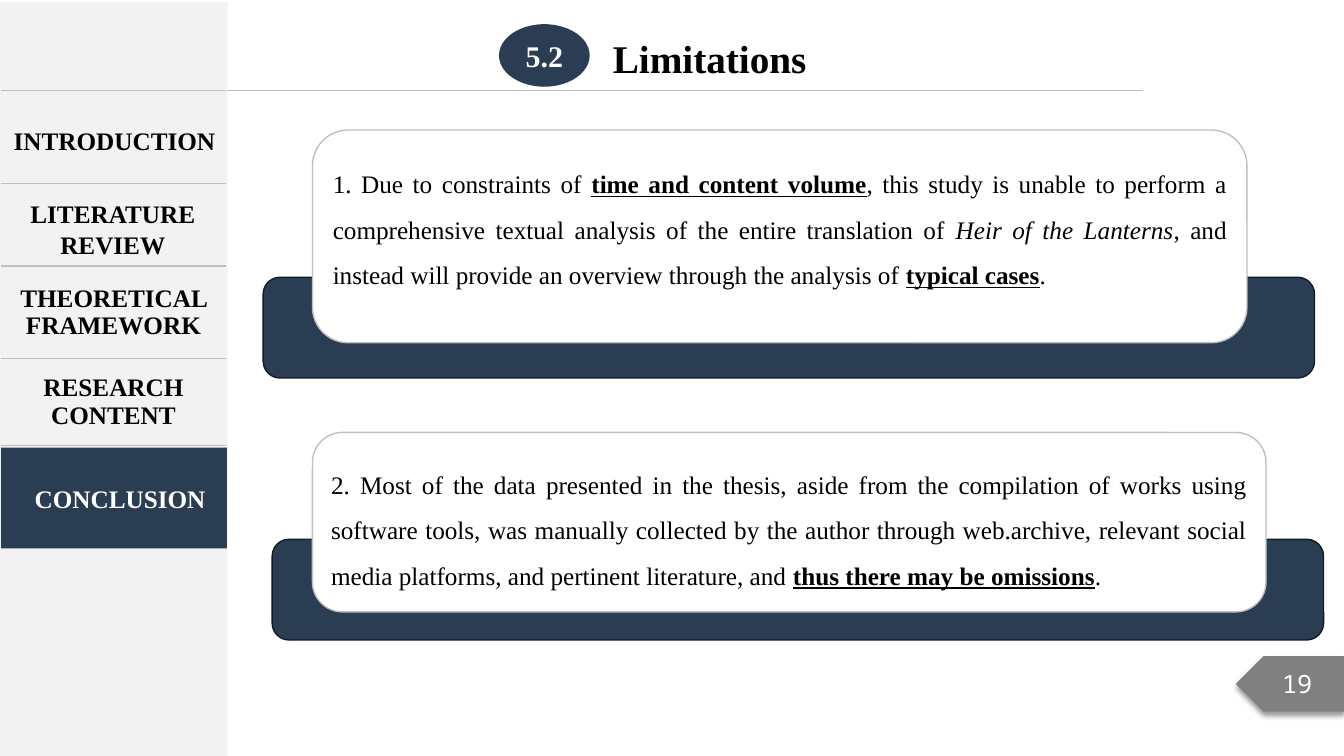
from dataclasses import dataclass
from typing import Any

from lxml import etree
from pptx import Presentation
from pptx import util as u
from pptx.dml.color import RGBColor
from pptx.enum import shapes, text
from pptx.oxml import ns

ALIGN, ANCHOR, SHAPE = text.PP_ALIGN, text.MSO_ANCHOR, shapes.MSO_SHAPE
SLIDE_WIDTH, SLIDE_HEIGHT = u.Inches(13.333), u.Inches(7.5)


@dataclass(frozen=True)
class Theme:
    navy: str = "2A3D52"
    navy_edge: str = "121B24"
    panel: str = "F2F2F2"
    rule: str = "BFBFBF"
    tag: str = "808080"
    white: str = "FFFFFF"
    black: str = "000000"
    serif: str = "Times New Roman"
    mono: str = "Noto Sans Mono"
    title: float = 28
    badge: float = 21.4
    body: float = 18


THEME = Theme()


@dataclass(frozen=True)
class Area:
    """Shares of the slide's size, in percent."""
    left: float
    top: float
    width: float
    height: float

    def lengths(self) -> tuple[int, int, int, int]:
        return across(self.left), down(self.top), across(self.width), down(self.height)


@dataclass(frozen=True)
class Span:
    words: str
    format: dict[str, Any]


@dataclass(frozen=True)
class Label:
    area: Area
    lines: tuple[str, ...]
    fill: str | None = None
    color: str = THEME.black
    extra_left: float = 0


@dataclass(frozen=True)
class Card:
    base: Area
    front: Area
    spans: tuple[Span, ...]
    extra_bottom: float = 0


PLAIN = {"bold": False}
STRONG = {"bold": True, "underline": True}
ITALIC = {"bold": False, "italic": True}
HEADING = {"bold": True}

SIDEBAR = Area(0, 0.27, 16.95, 99.73)
TITLE = Area(44.85, 3.87, 16.05, 7.6)
BADGE = Area(37.13, 3.2, 6.75, 8.27)
PAGE_TAG = Area(91.95, 86.8, 8.1, 7.33)
MENU = Area(0.08, 12, 16.73, 59.21)
MENU_ROWS = (
    ("", 12.27),
    ("", 10.93),
    ("THEORETICAL FRAMEWORK", 12.27),
    ("RESEARCH CONTENT", 11.47),
    ("", 12.27),
)
LABELS = (
    Label(Area(0.08, 13.47, 16.88, 10.27), ("INTRODUCTION",)),
    Label(Area(-0.08, 24.53, 16.95, 11.47), ("LITERATURE", "REVIEW")),
    Label(Area(0.08, 59.2, 16.8, 13.33), ("CONCLUSION",), THEME.navy, THEME.white, 0.12),
)
CARDS = (
    Card(Area(19.58, 36.67, 78.23, 13.33), Area(23.25, 17.2, 69.53, 28.13), (
        Span("1. Due to constraints of ", PLAIN),
        Span("time and content volume", STRONG),
        Span(", this study is unable to perform a comprehensive textual analysis "
             "of the entire translation of", PLAIN),
        Span(" Heir of the Lanterns", ITALIC),
        Span(", and instead will provide an overview through the analysis of ", PLAIN),
        Span("typical cases", STRONG),
        Span(".", PLAIN),
    ), 0.29),
    Card(Area(20.25, 71.33, 78.23, 13.33), Area(23.25, 57.2, 70.95, 23.73), (
        Span("2. Most of the data presented in the thesis, aside from the compilation of works "
             "using software tools, was manually collected by the author through web.archive, "
             "relevant social media platforms, and pertinent literature, and ", PLAIN),
        Span("thus there may be omissions", STRONG),
        Span(".", PLAIN),
    )),
)


def across(share: float) -> int:
    return round(SLIDE_WIDTH * share / 100)


def down(share: float) -> int:
    return round(SLIDE_HEIGHT * share / 100)


def assign(target: Any, values: dict[str, Any]) -> None:
    for name, value in values.items():
        setattr(target, name, value)


def write(para: Any, spans: tuple[Span, ...], size: float = THEME.body,
          color: str = THEME.black, align: Any = ALIGN.CENTER, face: str = THEME.serif) -> None:
    para.alignment = align
    for span in spans:
        run = para.add_run()
        run.text = span.words
        assign(run.font, {"name": face, "size": u.Pt(size), **span.format})
        run.font.color.rgb = RGBColor.from_string(color)


def add_box(page: Any, kind: Any, area: Area, fill: str | None, line: str | None = None) -> Any:
    box = page.shapes.add_shape(kind, *area.lengths())
    box.shadow.inherit = False
    if fill:
        box.fill.solid()
        box.fill.fore_color.rgb = RGBColor.from_string(fill)
    else:
        box.fill.background()
    if line:
        box.line.color.rgb = RGBColor.from_string(line)
        box.line.width = u.Pt(1)
    else:
        box.line.fill.background()
    assign(box.text_frame, {"word_wrap": True, "vertical_anchor": ANCHOR.MIDDLE})
    return box


def add_child(parent: Any, tag: str, **values: Any) -> Any:
    return etree.SubElement(parent, ns.qn(tag), {key: str(value) for key, value in values.items()})


def add_rule(page: Any) -> None:
    rule = page.shapes.add_connector(shapes.MSO_CONNECTOR.STRAIGHT, across(16.88), down(12),
                                     across(85.05), down(12))
    rule.line.color.rgb = RGBColor.from_string(THEME.rule)
    rule.line.width = u.Pt(0.5)
    add_child(rule.element.spPr, "a:effectLst")


def add_page_tag(page: Any) -> None:
    tag = add_box(page, SHAPE.PENTAGON, PAGE_TAG, THEME.tag)
    tag.element.spPr.find(ns.qn("a:xfrm")).set("flipH", "1")
    effects = tag.element.spPr.find(ns.qn("a:effectLst"))
    shadow = add_child(effects, "a:outerShdw", blurRad=u.Pt(4), dist=u.Pt(3), dir=90 * 60000,
                       algn="t", rotWithShape=0)
    add_child(add_child(shadow, "a:srgbClr", val=THEME.black), "a:alpha", val=40000)
    write(tag.text_frame.paragraphs[0], (Span("19", PLAIN),), color=THEME.white, face=THEME.mono)


def border_cell(cell: Any) -> None:
    properties = cell._tc.get_or_add_tcPr()
    for place, side in enumerate(("L", "R", "T", "B")):
        edge = etree.Element(ns.qn(f"a:ln{side}"), {"w": str(u.Pt(1))})
        if side in "TB":
            add_child(add_child(edge, "a:solidFill"), "a:srgbClr", val=THEME.rule)
        else:
            add_child(edge, "a:noFill")
        properties.insert(place, edge)


def add_menu(page: Any) -> None:
    menu = page.shapes.add_table(len(MENU_ROWS), 1, *MENU.lengths()).table
    assign(menu, {"first_row": False, "horz_banding": False})
    for row, (words, height) in zip(menu.rows, MENU_ROWS):
        row.height = down(height)
        cell = row.cells[0]
        cell.vertical_anchor = ANCHOR.MIDDLE
        cell.fill.background()
        border_cell(cell)
        if words:
            write(cell.text_frame.paragraphs[0], (Span(words, HEADING),))


def add_label(page: Any, label: Label) -> None:
    frame = add_box(page, SHAPE.RECTANGLE, label.area, label.fill).text_frame
    frame.margin_left = u.Inches(0.1 + label.extra_left)
    for index, words in enumerate(label.lines):
        para = frame.add_paragraph() if index else frame.paragraphs[0]
        write(para, (Span(words, HEADING),), color=label.color)


def add_card(page: Any, card: Card) -> None:
    add_box(page, SHAPE.ROUNDED_RECTANGLE, card.base, THEME.navy, THEME.navy_edge)
    frame = add_box(page, SHAPE.ROUNDED_RECTANGLE, card.front, THEME.white, THEME.rule).text_frame
    frame.margin_bottom = u.Inches(0.05 + card.extra_bottom)
    para = frame.paragraphs[0]
    para.line_spacing = 1.5
    write(para, card.spans, align=ALIGN.JUSTIFY)


def add_title(page: Any) -> None:
    title = page.shapes.title
    assign(title, dict(zip(("left", "top", "width", "height"), TITLE.lengths())))
    assign(title.text_frame, {"word_wrap": False, "vertical_anchor": ANCHOR.TOP,
                              "auto_size": text.MSO_AUTO_SIZE.NONE})
    write(title.text_frame.paragraphs[0], (Span("Limitations", HEADING),), THEME.title,
          align=ALIGN.LEFT)


def main() -> None:
    deck = Presentation()
    assign(deck, {"slide_width": SLIDE_WIDTH, "slide_height": SLIDE_HEIGHT})
    page = deck.slides.add_slide(deck.slide_layouts[5])
    add_box(page, SHAPE.RECTANGLE, SIDEBAR, THEME.panel)
    add_rule(page)
    add_page_tag(page)
    add_menu(page)
    for label in LABELS:
        add_label(page, label)
    add_title(page)
    badge = add_box(page, SHAPE.OVAL, BADGE, THEME.navy)
    write(badge.text_frame.paragraphs[0], (Span("5.2", HEADING),), THEME.badge, THEME.white)
    for card in CARDS:
        add_card(page, card)
    deck.save("out.pptx")


if __name__ == "__main__":
    main()
